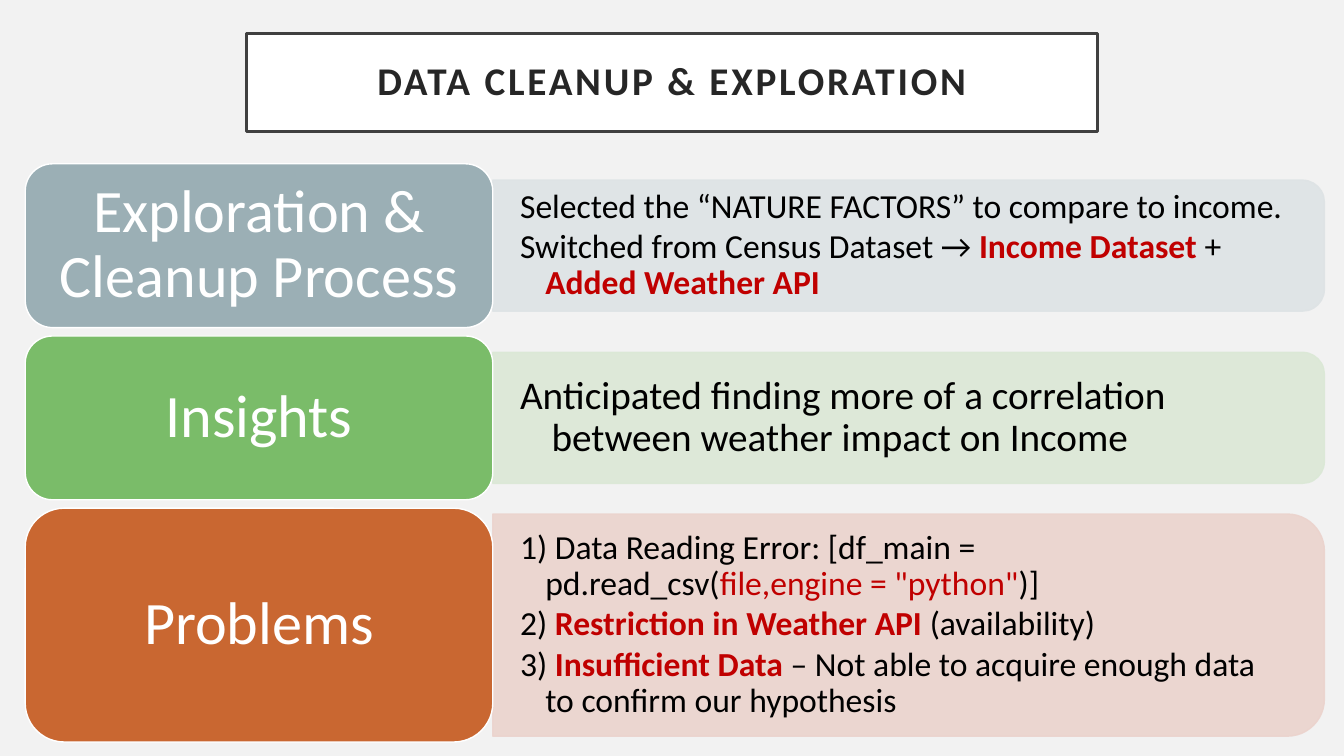
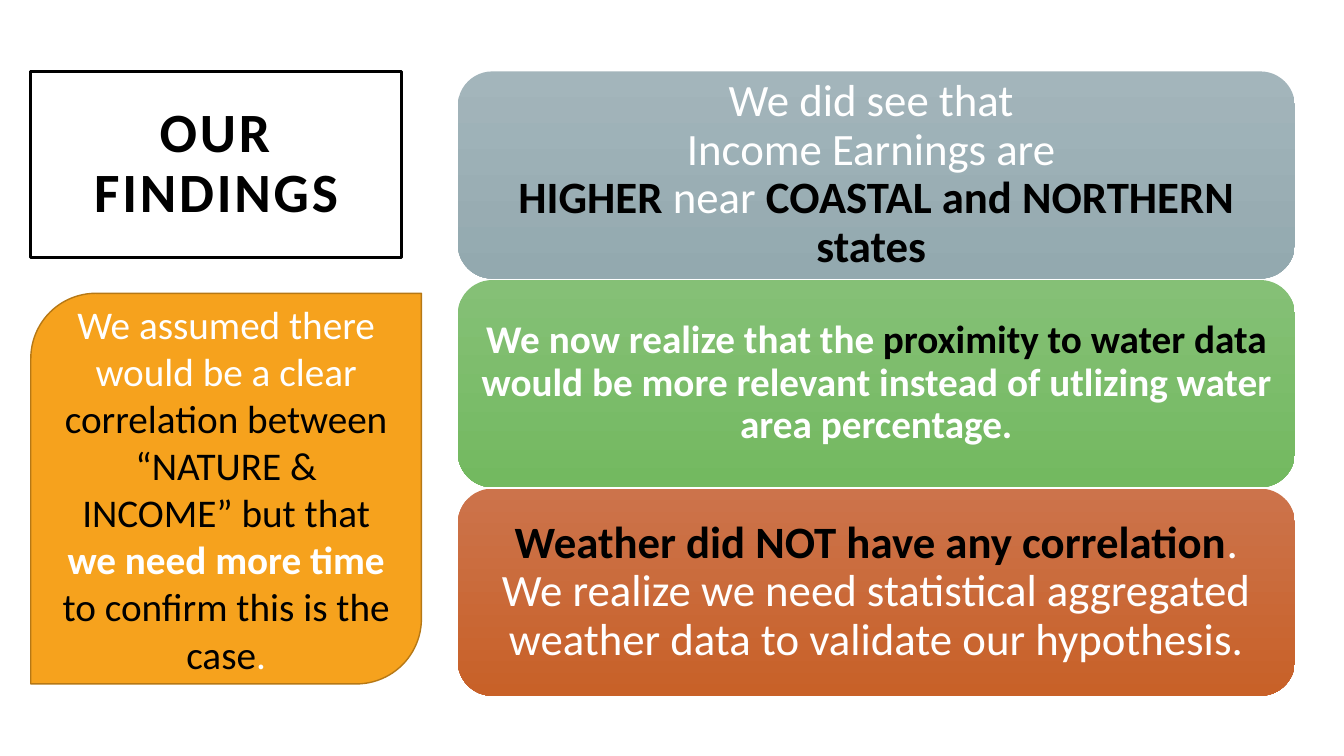
from collections import namedtuple
from dataclasses import dataclass

from lxml import etree
from pptx import Presentation
from pptx.dml.color import RGBColor
from pptx.enum.shapes import MSO_SHAPE
from pptx.enum.text import MSO_ANCHOR, MSO_AUTO_SIZE, PP_ALIGN
from pptx.oxml.ns import qn
from pptx.util import Pt

LEFT, CENTER = PP_ALIGN.LEFT, PP_ALIGN.CENTER
ROUNDED, LEAF = MSO_SHAPE.ROUNDED_RECTANGLE, MSO_SHAPE.ROUND_2_DIAG_RECTANGLE
TAB = MSO_SHAPE.ROUND_2_SAME_RECTANGLE
COMPARISON, TITLE_ONLY = 4, 5

Box = namedtuple("Box", "left top width height")
Run = namedtuple("Run", "text color bold", defaults=(None, False))
Row = namedtuple("Row", "label color tint height panel_share size indent details")
Card = namedtuple("Card", "top_color bottom_color size paragraphs")


@dataclass(frozen=True)
class Theme:
    font: str = "Calibri"
    white: str = "FFFFFF"
    black: str = "000000"
    page: str = "F2F2F2"
    title_text: str = "262626"
    title_line: str = "404040"
    accent: str = "C00000"
    slate: str = "9BAFB5"
    slate_tint: str = "DEE3E5"
    green: str = "7ABC69"
    green_tint: str = "DBE8D6"
    rust: str = "C96731"
    rust_tint: str = "EBD3CD"
    orange: str = "F6A21D"
    orange_line: str = "B67815"
    detail_size: float = 24
    body_size: float = 28
    card_size: float = 32
    big_title_size: float = 39.6
    label_size: float = 43
    tight: float = 0.9


THEME = Theme()

ROWS = [
    Row("Exploration & Cleanup Process", THEME.slate, THEME.slate_tint, 117, 0.8,
        THEME.detail_size, 18, [
            [Run("Selected the “NATURE FACTORS” to compare to income.")],
            [Run("Switched from Census Dataset → "),
             Run("Income Dataset ", THEME.accent, True), Run("+ "),
             Run("Added Weather API", THEME.accent, True)]]),
    Row("Insights", THEME.green, THEME.green_tint, 117, 0.8,
        THEME.body_size, 22.5, [
            [Run("Anticipated finding more of a correlation between weather "
                 "impact on Income")]]),
    Row("Problems", THEME.rust, THEME.rust_tint, 167, 0.95,
        THEME.detail_size, 18, [
            [Run("1) Data Reading Error: [df_main = pd.read_csv("),
             Run('file,engine = "python"', THEME.accent), Run(")]")],
            [Run("2) "), Run("Restriction in Weather API ", THEME.accent, True),
             Run("(availability)")],
            [Run("3) "), Run("Insufficient Data ", THEME.accent, True),
             Run("– Not able to acquire enough data to confirm our hypothesis")]]),
]

CARDS = [
    Card("A3B5BB", "93A9AF", THEME.card_size, [
        [Run("We did see that ")],
        [Run("Income Earnings are ")],
        [Run("HIGHER ", THEME.black, True), Run("near "),
         Run("COASTAL and NORTHERN states ", THEME.black, True)]]),
    Card("85C076", "73B960", THEME.body_size, [
        [Run("We now realize that the ", bold=True),
         Run("proximity to water data ", THEME.black, True),
         Run("would be more relevant instead of utlizing water area percentage.",
             bold=True)]]),
    Card("CC734B", "C86128", THEME.card_size, [
        [Run("Weather did NOT have any correlation", THEME.black, True),
         Run(". We realize we need statistical aggregated weather data to "
             "validate our hypothesis.")]]),
]

ASSUMPTION = [
    Run("We assumed there would be a clear "),
    Run("correlation between “NATURE & INCOME” but that ", THEME.black),
    Run("we need more time ", bold=True),
    Run("to confirm this is the case", THEME.black), Run("."),
]


def rgb(color):
    return RGBColor.from_string(color)


def place(shape, box):
    shape.left, shape.top, shape.width, shape.height = (Pt(n) for n in box)


def paint(shape, fill, line=None, line_width=1):
    shape.fill.solid()
    shape.fill.fore_color.rgb = rgb(fill)
    if line:
        shape.line.color.rgb = rgb(line)
        shape.line.width = Pt(line_width)


def add_block(slide, kind, box):
    shape = slide.shapes.add_shape(kind, *(Pt(n) for n in box))
    shape.shadow.inherit = False
    shape.line.fill.background()
    return shape


def write_text(shape, paragraphs, *, size, color, align=CENTER, inset=(7.2, 3.6),
               line_spacing=THEME.tight, after=0, hanging=0, tracking=0):
    """Fill a shape with paragraphs of runs; inset is (horizontal, vertical)."""
    frame = shape.text_frame
    frame.word_wrap = True
    frame.auto_size = MSO_AUTO_SIZE.NONE
    frame.vertical_anchor = MSO_ANCHOR.MIDDLE
    frame.margin_left = frame.margin_right = Pt(inset[0])
    frame.margin_top = frame.margin_bottom = Pt(inset[1])
    for index, runs in enumerate(paragraphs):
        paragraph = frame.add_paragraph() if index else frame.paragraphs[0]
        paragraph.alignment = align
        paragraph.line_spacing = line_spacing
        paragraph.space_before, paragraph.space_after = Pt(0), Pt(after)
        if hanging:
            properties = paragraph._p.get_or_add_pPr()
            properties.set("marL", str(Pt(hanging)))
            properties.set("indent", str(-Pt(hanging)))
            etree.SubElement(properties, qn("a:buNone"))
        for part in runs:
            run = paragraph.add_run()
            run.text = part.text
            run.font.name = THEME.font
            run.font.size = Pt(size)
            run.font.bold = part.bold
            run.font.color.rgb = rgb(part.color or color)
            if tracking:
                run.font._element.set("spc", str(tracking * 100))


def start_slide(deck, layout, background):
    slide = deck.slides.add_slide(deck.slide_layouts[layout])
    slide.background.fill.solid()
    slide.background.fill.fore_color.rgb = rgb(background)
    return slide


def set_title(slide, text, box, size, color, line, line_width):
    title = slide.shapes.title
    place(title, box)
    paint(title, THEME.white, line, line_width)
    write_text(title, [[Run(text, bold=True)]], size=size, color=color,
               inset=(14.4, 14.4), tracking=2)


def add_tint_panel(slide, box, tint):
    """Draw a slightly transparent panel whose right corners are rounded."""
    upright = Box(box.left + (box.width - box.height) / 2,
                  box.top + (box.height - box.width) / 2, box.height, box.width)
    panel = add_block(slide, TAB, upright)
    panel.rotation = 90
    paint(panel, tint, tint)
    for color in panel._element.spPr.iter(qn("a:srgbClr")):
        etree.SubElement(color, qn("a:alpha"), val="90000")


def add_row(slide, details, row, box):
    """Draw a label block and its tinted list inside the box."""
    label_width = 334
    panel_height = row.height * row.panel_share
    panel = Box(box.left + label_width, box.top + (box.height - panel_height) / 2,
                box.width - label_width, panel_height)
    add_tint_panel(slide, panel, row.tint)

    details._element.getparent().append(details._element)
    place(details, panel._replace(width=panel.width - 5))
    write_text(details, row.details, size=row.size, color=THEME.black, align=LEFT,
               inset=(19.5, 5), after=3, hanging=row.indent)

    label = add_block(slide, ROUNDED, box._replace(width=label_width))
    paint(label, row.color, THEME.white)
    write_text(label, [[Run(row.label)]], size=THEME.label_size, color=THEME.white,
               inset=(19, 12))


def add_card(slide, card, box):
    shape = add_block(slide, ROUNDED, box)
    shape.fill.gradient()
    shape.fill.gradient_angle = 270
    for stop, color in zip(shape.fill.gradient_stops,
                           (card.top_color, card.bottom_color)):
        stop.color.rgb = rgb(color)
    write_text(shape, card.paragraphs, size=card.size, color=THEME.white,
               inset=(9, 9))


def add_assumption(slide, box):
    leaf = add_block(slide, LEAF, box)
    paint(leaf, THEME.orange, THEME.orange_line)
    write_text(leaf, [ASSUMPTION], size=THEME.body_size, color=THEME.white,
               line_spacing=1)


def build_cleanup(deck):
    slide = start_slide(deck, COMPARISON, THEME.page)
    set_title(slide, "DATA CLEANUP & EXPLORATION", Box(176, 24, 608, 70),
              THEME.body_size, THEME.title_text, THEME.title_line, 2.5)
    lists = list(slide.placeholders)[1:]
    top, gap = 117, 6
    for row, details in zip(ROWS, lists):
        add_row(slide, details, row, Box(18, top, 928, row.height))
        top += row.height + gap
    for spare in lists[len(ROWS):]:
        spare._element.getparent().remove(spare._element)


def build_findings(deck):
    slide = start_slide(deck, TITLE_ONLY, THEME.white)
    set_title(slide, "OUR FINDINGS", Box(22, 51, 265, 133),
              THEME.big_title_size, THEME.black, THEME.black, 2.25)
    card_height, gap = 148, 1
    for index, card in enumerate(CARDS):
        top = 51 + index * (card_height + gap)
        add_card(slide, card, Box(327, top, 598, card_height))
    add_assumption(slide, Box(22, 209.5, 279, 279))


def main():
    deck = Presentation()
    deck.slide_width, deck.slide_height = Pt(960), Pt(540)
    build_cleanup(deck)
    build_findings(deck)
    deck.save("out.pptx")


if __name__ == "__main__":
    main()
